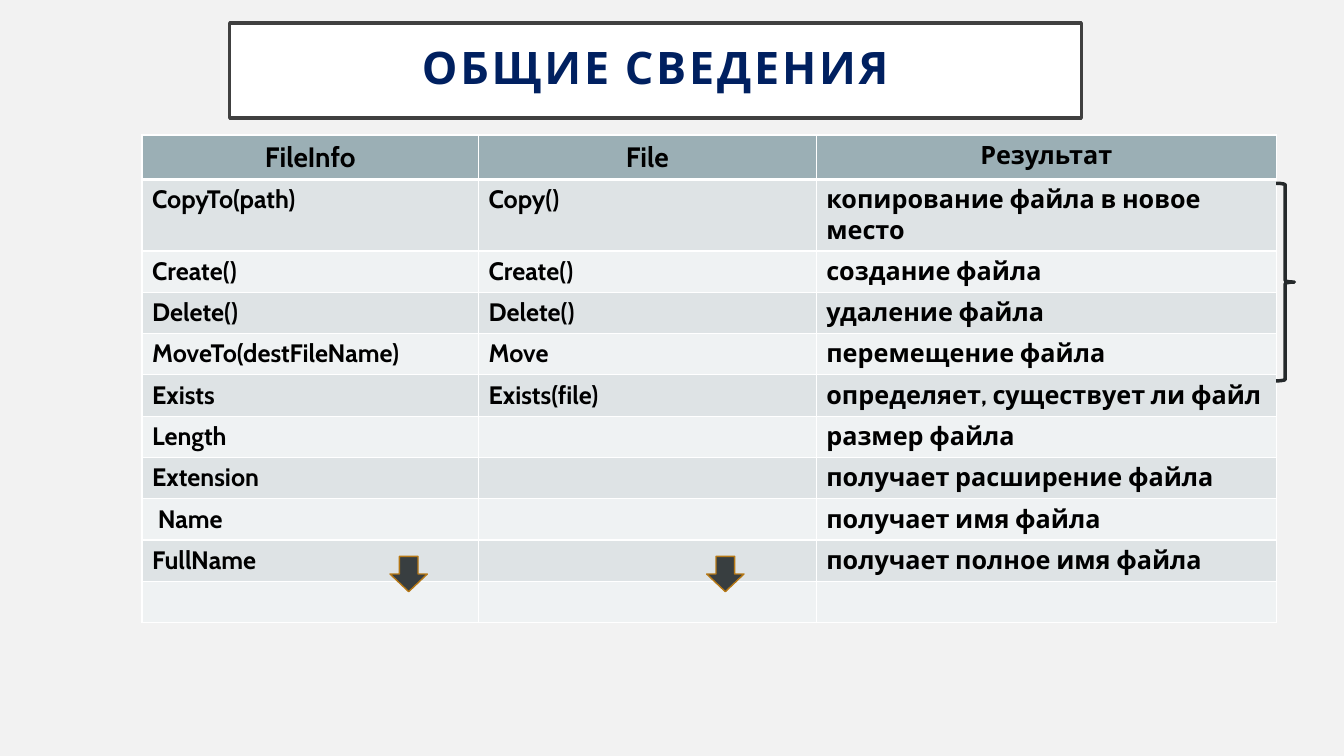
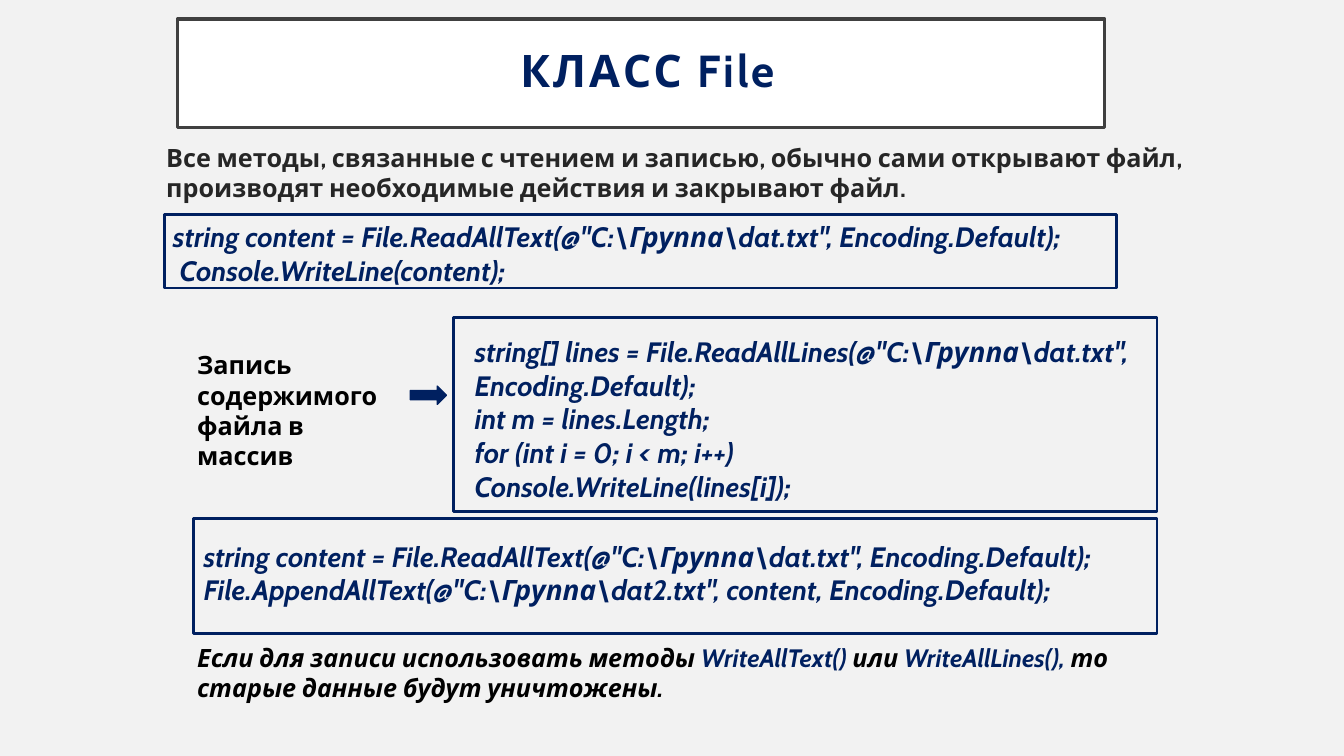
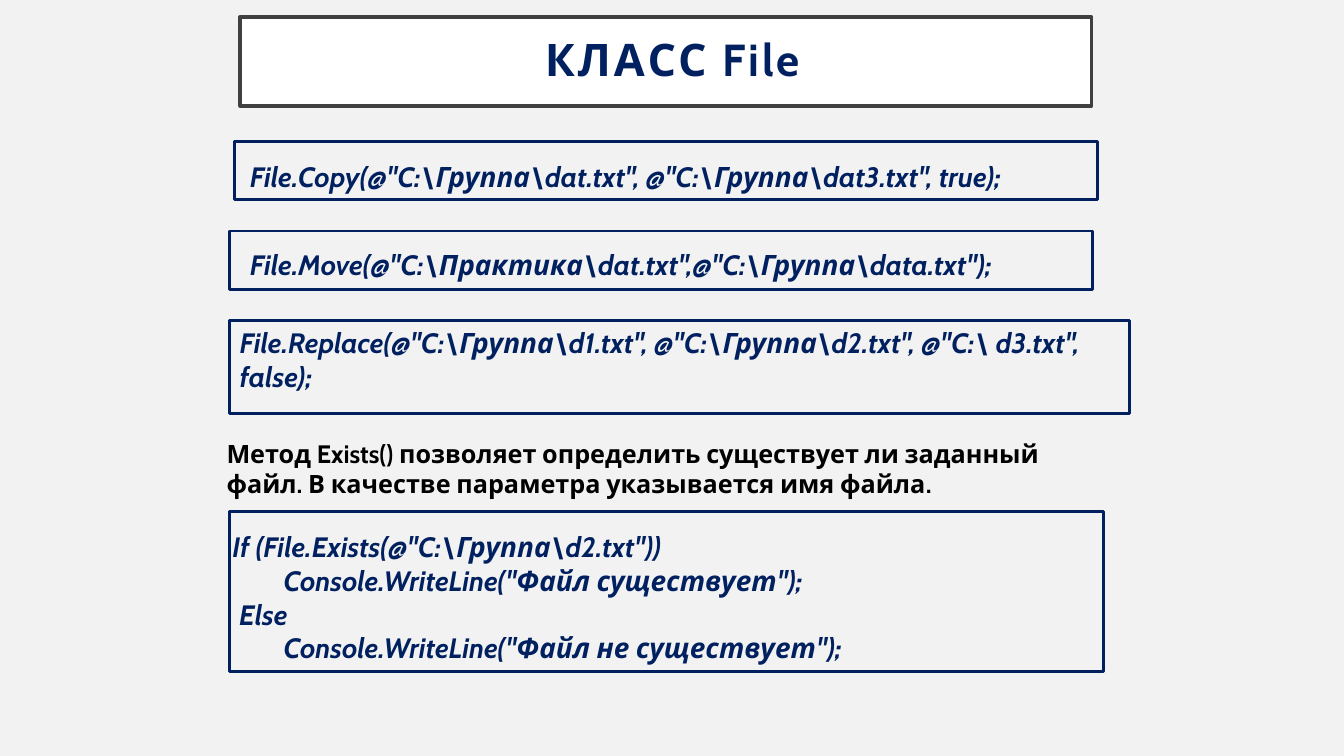
from dataclasses import dataclass
from typing import Any, NamedTuple, Optional

import pptx
import pptx.dml.color
import pptx.enum.shapes
import pptx.enum.text
import pptx.util
from lxml import etree
from pptx.oxml import ns

Cm = pptx.util.Cm
Pt = pptx.util.Pt
Shapes = pptx.enum.shapes.MSO_SHAPE
CENTER = pptx.enum.text.PP_ALIGN.CENTER

FONT = "Cabin"
TITLE_ONLY = 5
COLORS = {
    "background": "F2F2F2",
    "white": "FFFFFF",
    "black": "000000",
    "body": "262626",
    "title_line": "404040",
    "navy": "002060",
    "brace": "25292B",
    "arrow": "383E40",
    "arrow_line": "B67815",
    "header": "9BAFB5",
    "odd_row": "DEE3E5",
    "even_row": "EFF2F3",
}


class Area(NamedTuple):
    left: float
    top: float
    width: float
    height: float

    def lengths(self) -> tuple[int, ...]:
        return tuple(Cm(value) for value in self)


class Line(NamedTuple):
    text: str
    indent: float = 0


@dataclass(frozen=True)
class CodeBlock:
    frame: Area
    text_area: Area
    lines: tuple[Line, ...]


def rgb(name: str) -> pptx.dml.color.RGBColor:
    return pptx.dml.color.RGBColor.from_string(COLORS[name])


def write_span(para: Any, text: str, *, size: float = 18, color: str = "black",
               bold: bool = True, italic: bool = False, spacing: float = 0) -> None:
    span = para.add_run()
    span.text = text
    span.font.name = FONT
    span.font.size = Pt(size)
    span.font.bold = bold
    span.font.italic = italic
    span.font.color.rgb = rgb(color)
    if spacing:
        span._r.get_or_add_rPr().set("spc", str(round(spacing * 100)))


def paint(shape: Any, fill: Optional[str], line: str, width: float) -> None:
    if fill:
        shape.fill.solid()
        shape.fill.fore_color.rgb = rgb(fill)
    else:
        shape.fill.background()
    shape.line.color.rgb = rgb(line)
    shape.line.width = Pt(width)


def add_page(deck: Any, title: str, area: Area) -> Any:
    page = deck.slides.add_slide(deck.slide_layouts[TITLE_ONLY])
    box = page.shapes.title
    box.left, box.top, box.width, box.height = area.lengths()
    paint(box, "white", "title_line", 2.5)
    frame = box.text_frame
    frame.word_wrap = True
    frame.auto_size = pptx.enum.text.MSO_AUTO_SIZE.NONE
    frame.vertical_anchor = pptx.enum.text.MSO_ANCHOR.MIDDLE
    frame.margin_left = frame.margin_right = Cm(0.51)
    frame.margin_top = frame.margin_bottom = Cm(0.51)
    para = frame.paragraphs[0]
    para.alignment = CENTER
    para.line_spacing = 0.9
    write_span(para, title, size=32, color="navy", spacing=2)
    return page


def add_shape(page: Any, kind: Any, area: Area, line: str,
              fill: Optional[str] = None, width: float = 1) -> None:
    shape = page.shapes.add_shape(kind, *area.lengths())
    shape.shadow.inherit = False
    paint(shape, fill, line, width)


def add_text_frame(page: Any, area: Area) -> Any:
    frame = page.shapes.add_textbox(*area.lengths()).text_frame
    frame.word_wrap = True
    return frame


def add_note(page: Any, area: Area, text: str, **text_format: Any) -> Any:
    para = add_text_frame(page, area).paragraphs[0]
    write_span(para, text, **text_format)
    return para


def add_code(page: Any, block: CodeBlock) -> None:
    add_shape(page, Shapes.RECTANGLE, block.frame, "navy", width=2)
    frame = add_text_frame(page, block.text_area)
    for number, line in enumerate(block.lines):
        para = frame.add_paragraph() if number else frame.paragraphs[0]
        if line.indent:
            para._p.get_or_add_pPr().set("marL", str(Cm(line.indent)))
        write_span(para, line.text, size=20, color="navy", italic=True)


def set_borders(cell: Any, bottom: float) -> None:
    properties = cell._tc.get_or_add_tcPr()
    for side, width in (("L", 1), ("R", 1), ("T", 1), ("B", bottom)):
        border = etree.SubElement(properties, ns.qn(f"a:ln{side}"), w=str(Pt(width)))
        fill = etree.SubElement(border, ns.qn("a:solidFill"))
        etree.SubElement(fill, ns.qn("a:srgbClr"), val=COLORS["white"])


def add_methods_table(page: Any, rows: list[tuple[str, str, str]]) -> None:
    widths = (8.48, 8.51, 11.6)
    heights = [1.12, 1.12] + [1.04] * (len(rows) - 2)
    area = Area(3.58, 3.4, sum(widths), sum(heights))
    table = page.shapes.add_table(len(rows), len(widths), *area.lengths()).table
    table.horz_banding = False
    for column, width in zip(table.columns, widths):
        column.width = Cm(width)
    for number, (row, height, texts) in enumerate(zip(table.rows, heights, rows)):
        row.height = Cm(height)
        is_header = number == 0
        fill = "header" if is_header else ("even_row", "odd_row")[number % 2]
        for column, (cell, text) in enumerate(zip(row.cells, texts)):
            set_borders(cell, 3 if is_header else 1)
            cell.fill.solid()
            cell.fill.fore_color.rgb = rgb(fill)
            para = cell.text_frame.paragraphs[0]
            if is_header:
                para.alignment = CENTER
            if text:
                write_span(para, text, size=20 if is_header and column < 2 else 18)


def build_overview(deck: Any) -> None:
    page = add_page(deck, "ОБЩИЕ СВЕДЕНИЯ", Area(5.79, 0.58, 21.46, 2.39))
    add_methods_table(page, [
        ("FileInfo", "File", "Результат"),
        ("CopyTo(path)", "Copy()", "копирование файла в новое место"),
        ("Create()", "Create()", "создание файла"),
        ("Delete()", "Delete()", "удаление файла"),
        ("MoveTo(destFileName)", "Move", "перемещение файла"),
        ("Exists", "Exists(file)", "определяет, существует ли файл"),
        ("Length", "", "размер файла"),
        ("Extension", "", "получает расширение файла"),
        ("\u00a0Name", "", "получает имя файла"),
        ("FullName", "", "получает полное имя файла"),
        ("", "", ""),
    ])
    add_shape(page, Shapes.RIGHT_BRACE, Area(32.16, 4.62, 0.46, 4.98), "brace", width=2.5)
    for left in (17.81, 9.83):
        add_shape(page, Shapes.DOWN_ARROW, Area(left, 14.02, 0.94, 0.89),
                  "arrow_line", fill="arrow")


def build_reading(deck: Any) -> None:
    page = add_page(deck, " КЛАСС File", Area(4.47, 0.48, 23.37, 2.74))
    add_note(page, Area(3.94, 3.45, 29.54, 9.25),
             "Все методы, связанные с чтением и записью, обычно сами открывают файл, "
             "производят необходимые действия и закрывают файл.", color="body")
    read_text = Line(
        'string content = File.ReadAllText(@"C:\\Группа\\dat.txt", Encoding.Default);')
    blocks = (
        CodeBlock(Area(4.14, 5.41, 24, 1.85), Area(4.11, 5.41, 28.35, 1.96), (
            read_text,
            Line("Console.WriteLine(content);", 0.17),
        )),
        CodeBlock(Area(11.43, 8, 17.73, 4.9), Area(11.71, 8.31, 21.44, 4.52), (
            Line('string[] lines = File.ReadAllLines(@"C:\\Группа\\dat.txt", Encoding.Default);'),
            Line("int m = lines.Length;"),
            Line("for (int i = 0; i < m; i++)"),
            Line("Console.WriteLine(lines[i]);"),
        )),
        CodeBlock(Area(4.88, 13.06, 24.28, 2.9), Area(4.88, 13.46, 26.31, 1.96), (
            read_text,
            Line('File.AppendAllText(@"C:\\Группа\\dat2.txt", content, Encoding.Default);'),
        )),
    )
    for block in blocks:
        add_code(page, block)
    add_note(page, Area(4.72, 8.69, 5.4, 2.57), "Запись содержимого файла в массив")
    add_shape(page, Shapes.RIGHT_ARROW, Area(10.34, 9.73, 0.91, 0.46), "navy", fill="navy")
    para = add_note(page, Area(4.72, 16.05, 24.69, 1.8),
                    "Если для записи использовать методы ", italic=True)
    for text, color in (
        ("WriteAllText() ", "navy"),
        ("или ", "black"),
        ("WriteAllLines(), ", "navy"),
        ("то старые данные будут уничтожены.", "black"),
    ):
        write_span(para, text, color=color, italic=True)


def build_file_actions(deck: Any) -> None:
    page = add_page(deck, " КЛАСС File", Area(6.05, 0.43, 21.46, 2.24))
    blocks = (
        CodeBlock(Area(5.92, 3.56, 21.74, 1.47), Area(6.05, 3.89, 19.94, 1.12), (
            Line('File.Copy(@"C:\\Группа\\dat.txt", @"C:\\Группа\\dat3.txt", true);'),
        )),
        CodeBlock(Area(5.79, 5.82, 21.74, 1.47), Area(6.05, 6.1, 19.43, 1.12), (
            Line('File.Move(@"C:\\Практика\\dat.txt",@"C:\\Группа\\data.txt");'),
        )),
        CodeBlock(Area(5.79, 8.08, 22.68, 2.34), Area(5.79, 8.08, 22.68, 1.96), (
            Line('File.Replace(@"C:\\Группа\\d1.txt", @"C:\\Группа\\d2.txt", '
                 '@"C:\\ d3.txt", false);'),
        )),
        CodeBlock(Area(5.79, 12.88, 22.02, 4.04), Area(5.61, 13.23, 22.07, 3.68), (
            Line('If (File.Exists(@"C:\\Группа\\d2.txt"))'),
            Line('Console.WriteLine("Файл существует");', 1.29),
            Line("Else", 0.17),
            Line('Console.WriteLine("Файл не существует");', 1.29),
        )),
    )
    for block in blocks:
        add_code(page, block)
    add_note(page, Area(5.46, 10.92, 22.35, 1.8),
             "Метод Exists() позволяет определить существует ли заданный файл. "
             "В качестве параметра указывается имя файла.")


def main() -> None:
    deck = pptx.Presentation()
    deck.slide_width, deck.slide_height = Cm(33.87), Cm(19.05)
    background = deck.slide_master.background.fill
    background.solid()
    background.fore_color.rgb = rgb("background")
    build_overview(deck)
    build_reading(deck)
    build_file_actions(deck)
    deck.save("out.pptx")


main()
